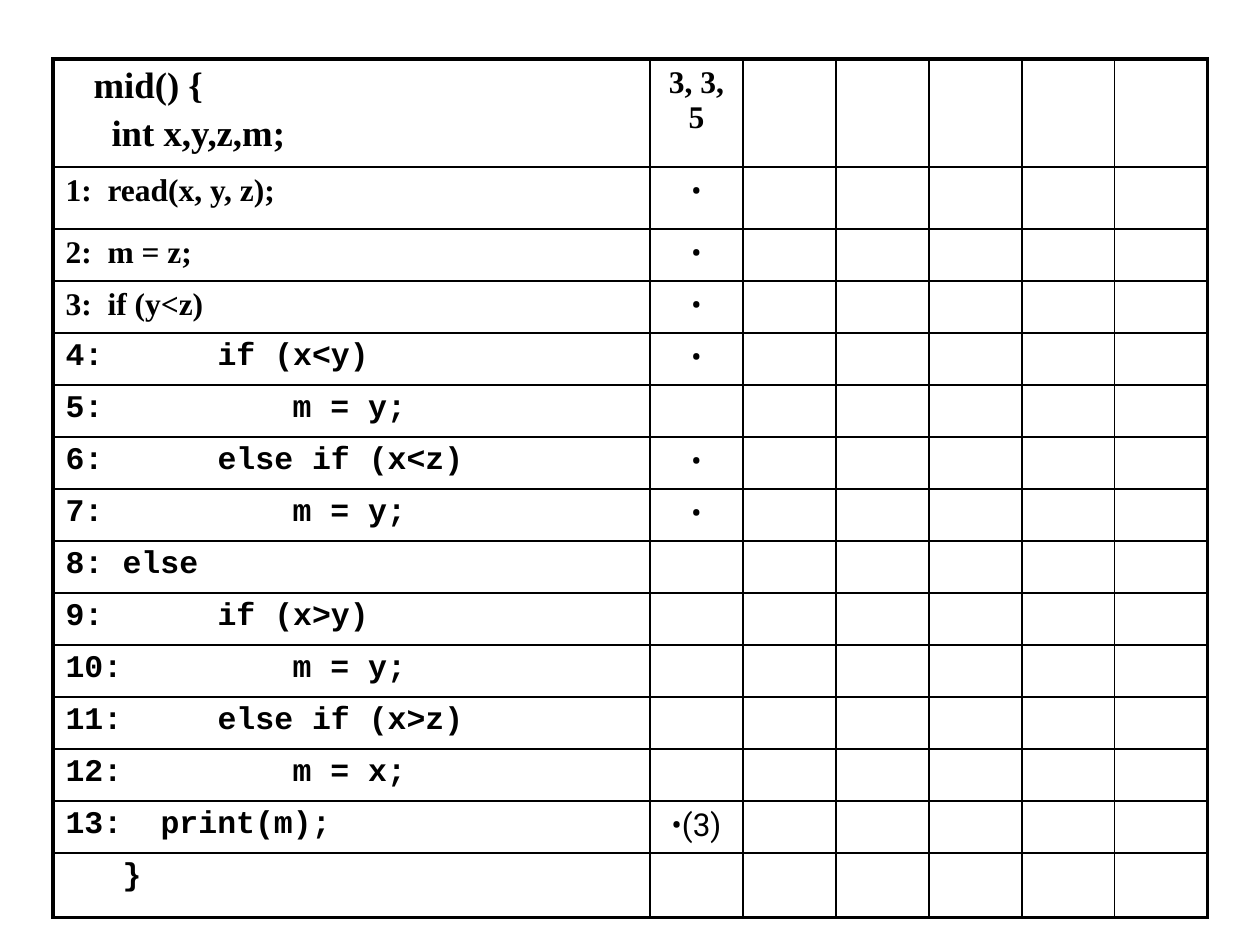
from lxml.etree import SubElement
from pptx import Presentation
from pptx.dml.color import RGBColor
from pptx.enum.text import PP_ALIGN
from pptx.oxml.ns import qn
from pptx.util import Emu, Pt

PX = 914400 // 126
BLACK = RGBColor(0, 0, 0)
WHITE = RGBColor(255, 255, 255)
SERIF, MONO, SANS = "Times New Roman", "Courier New", "Roboto"
THIN, THICK = 1, 2.25

# Declarations: indent in px, code
HEADER = [(28, "mid() {"), (46, "int x,y,z,m;")]
TEST_CASE = "3, 3, 5"
# Statements: number, indent in px, code, font, coverage mark
STATEMENTS = [
    ("1:", 42, "read(x, y, z);", SERIF, "•"),
    ("2:", 42, "m = z;", SERIF, "•"),
    ("3:", 42, "if (y<z)", SERIF, "•"),
    ("4:", 152, "if (x<y)", MONO, "•"),
    ("5:", 227, "m = y;", MONO, ""),
    ("6:", 152, "else if (x<z)", MONO, "•"),
    ("7:", 227, "m = y;", MONO, "•"),
    ("8:", 57, "else", MONO, ""),
    ("9:", 152, "if (x>y)", MONO, ""),
    ("10:", 227, "m = y;", MONO, ""),
    ("11:", 152, "else if (x>z)", MONO, ""),
    ("12:", 227, "m = x;", MONO, ""),
    ("13:", 95, "print(m);", MONO, "•(3)"),
    ("", 57, "}", MONO, ""),
]

LEFT, TOP = 53, 59
COLS = [597] + [93] * 6
ROWS = [108, 62] + [52] * 12 + [65]


def px(n):
    return Emu(n * PX)


def add_text(p, text, font, size=18, bold=True, align=PP_ALIGN.LEFT):
    p.alignment = align
    before = SubElement(p._p.get_or_add_pPr(), qn("a:spcBef"))
    SubElement(before, qn("a:spcPct"), val="20000")
    r = p.add_run()
    r.text = text
    r.font.name, r.font.size, r.font.bold = font, Pt(size), bold
    r.font.color.rgb = BLACK


def indent(p, width, tabbed):
    """Place code at width, by a tab stop after its number or by a margin."""
    pPr = p._p.get_or_add_pPr()
    if tabbed:
        stops = SubElement(pPr, qn("a:tabLst"))
        SubElement(stops, qn("a:tab"), pos=str(px(width)), algn="l")
    else:
        pPr.set("marL", str(px(width)))


def set_borders(cell, widths):
    tcPr = cell._tc.get_or_add_tcPr()
    for side, width in zip("LRTB", widths):
        ln = SubElement(tcPr, qn(f"a:ln{side}"), w=str(Pt(width)))
        fill = SubElement(ln, qn("a:solidFill"))
        SubElement(fill, qn("a:srgbClr"), val=str(BLACK))


def add_grid(slide):
    table = slide.shapes.add_table(len(ROWS), len(COLS), px(LEFT), px(TOP),
                                   px(sum(COLS)), px(sum(ROWS))).table
    table.first_row = table.horz_banding = False
    for col, width in zip(table.columns, COLS):
        col.width = px(width)
    for row, height in zip(table.rows, ROWS):
        row.height = px(height)
    last_row, last_col = len(ROWS) - 1, len(COLS) - 1
    for i in range(len(ROWS)):
        for j in range(len(COLS)):
            cell = table.cell(i, j)
            outer = (j == 0, j == last_col, i == 0, i == last_row)
            set_borders(cell, [THICK if edge else THIN for edge in outer])
            cell.fill.solid()
            cell.fill.fore_color.rgb = WHITE
    return table


def fill_header(table):
    tf = table.cell(0, 0).text_frame
    for i, (width, code) in enumerate(HEADER):
        p = tf.add_paragraph() if i else tf.paragraphs[0]
        add_text(p, code, SERIF, size=21)
        indent(p, width, tabbed=False)
    cell = table.cell(0, 1)
    cell._tc.get_or_add_tcPr().set("vert", "eaVert")
    add_text(cell.text_frame.paragraphs[0], TEST_CASE, SERIF,
             align=PP_ALIGN.CENTER)


def fill_statements(table):
    for i, (number, width, code, font, mark) in enumerate(STATEMENTS, 1):
        p = table.cell(i, 0).text_frame.paragraphs[0]
        add_text(p, f"{number}\t{code}" if number else code, font)
        indent(p, width, tabbed=bool(number))
        if mark:
            add_text(table.cell(i, 1).text_frame.paragraphs[0], mark, SANS,
                     bold=False, align=PP_ALIGN.CENTER)


def main():
    prs = Presentation()
    prs.slide_width, prs.slide_height = px(1260), px(945)
    slide = prs.slides.add_slide(prs.slide_layouts[6])
    table = add_grid(slide)
    fill_header(table)
    fill_statements(table)
    prs.save("out.pptx")


if __name__ == "__main__":
    main()
